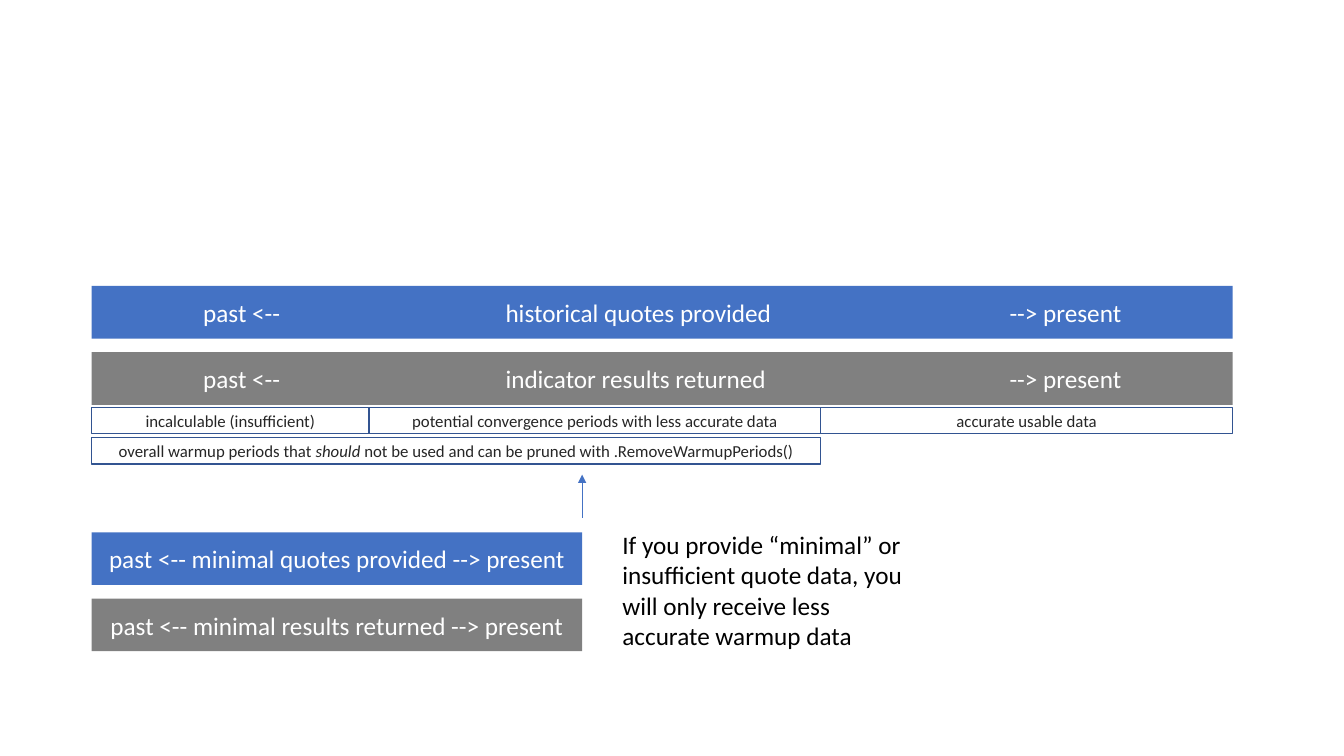
from lxml import etree
from pptx import Presentation
from pptx import util as u
from pptx.dml.color import RGBColor
from pptx.enum import shapes, text
from pptx.oxml.ns import qn

COLORS = {
    "quotes": "4472C4",
    "results": "808080",
    "outline": "325491",
    "label": "262626",
    "white": "FFFFFF",
    "black": "000000",
}
LEFT, WIDTH = 65.5, 815
MINIMAL_WIDTH = 350.3
BAR_HEIGHT, BAR_PITCH = 37.6, 47.3
PERIOD_TOP, PERIOD_HEIGHT, PERIOD_PITCH = 290.9, 18.9, 21.6
WARMUP_END, CONVERGENCE_START = 586.3, 263.7


class Timeline:
    font = "Calibri"

    def __init__(self, slide):
        self.slide = slide

    def color(self, name):
        return RGBColor.from_string(COLORS[name])

    def style(self, p, size, color):
        p.font.name = self.font
        p.font.size = u.Pt(size)
        p.font.color.rgb = self.color(color)

    def box(self, x, y, w, h):
        sp = self.slide.shapes.add_shape(
            shapes.MSO_SHAPE.RECTANGLE, u.Pt(x), u.Pt(y), u.Pt(w), u.Pt(h))
        sp.shadow.inherit = False
        tf = sp.text_frame
        tf.word_wrap = True
        tf.vertical_anchor = text.MSO_ANCHOR.MIDDLE
        p = tf.paragraphs[0]
        p.alignment = text.PP_ALIGN.CENTER
        return sp, p

    def bar(self, y, w, fill, label, tabs=()):
        sp, p = self.box(LEFT, y, w, BAR_HEIGHT)
        sp.fill.solid()
        sp.fill.fore_color.rgb = self.color(fill)
        sp.line.fill.background()
        p.add_run().text = label
        self.style(p, 18, "white")
        if tabs:
            stops = etree.Element(qn("a:tabLst"))
            for pos in tabs:
                etree.SubElement(stops, qn("a:tab"), pos=str(u.Pt(pos)), algn="l")
            p._p.get_or_add_pPr().insert(0, stops)

    def period(self, start, end, row, *parts):
        y = PERIOD_TOP + row * PERIOD_PITCH
        sp, p = self.box(start, y, end - start, PERIOD_HEIGHT)
        sp.fill.background()
        sp.line.color.rgb = self.color("outline")
        sp.line.width = u.Pt(1)
        for i, part in enumerate(parts):
            r = p.add_run()
            r.text = part
            if i % 2:
                r.font.italic = True
        self.style(p, 12, "label")

    def note(self, x, y, w, h, words):
        sp = self.slide.shapes.add_textbox(u.Pt(x), u.Pt(y), u.Pt(w), u.Pt(h))
        tf = sp.text_frame
        tf.word_wrap = True
        tf.auto_size = text.MSO_AUTO_SIZE.SHAPE_TO_FIT_TEXT
        p = tf.paragraphs[0]
        p.add_run().text = words
        self.style(p, 18, "black")

    def arrow(self, x, start, end):
        line = self.slide.shapes.add_connector(
            shapes.MSO_CONNECTOR.STRAIGHT, u.Pt(x), u.Pt(start), u.Pt(x), u.Pt(end))
        line.line.color.rgb = self.color("quotes")
        line.line.width = u.Pt(0.5)
        etree.SubElement(line.line._get_or_add_ln(), qn("a:tailEnd"), type="triangle")
        etree.SubElement(line._element.spPr, qn("a:effectLst"))


def main():
    prs = Presentation()
    prs.slide_width, prs.slide_height = u.Pt(960), u.Pt(540)
    s = Timeline(prs.slides.add_slide(prs.slide_layouts[6]))
    right = LEFT + WIDTH

    bars = [("quotes", "historical quotes provided", "minimal quotes provided"),
            ("results", "indicator results returned", "minimal results returned")]
    for i, (fill, full, minimal) in enumerate(bars):
        s.bar(204.3 + i * BAR_PITCH, WIDTH, fill,
              f"past <--\t{full}\t--> present", tabs=(216, 576))
        s.bar(380.3 + i * BAR_PITCH, MINIMAL_WIDTH, fill,
              f"past <-- {minimal} --> present")

    s.period(LEFT, CONVERGENCE_START, 0, "incalculable (insufficient)")
    s.period(CONVERGENCE_START, WARMUP_END, 0,
             "potential convergence periods with less accurate data")
    s.period(WARMUP_END, right, 0, "accurate usable data")
    s.period(LEFT, WARMUP_END, 1, "overall warmup periods that ", "should",
             " not be used and can be pruned with .RemoveWarmupPeriods()")

    s.note(437.5, 374.6, 228, 94.5,
           "If you provide “minimal” or insufficient quote data, "
           "you will only receive less accurate warmup data")
    s.arrow(LEFT + MINIMAL_WIDTH, 370, 339)
    prs.save("out.pptx")


if __name__ == "__main__":
    main()
